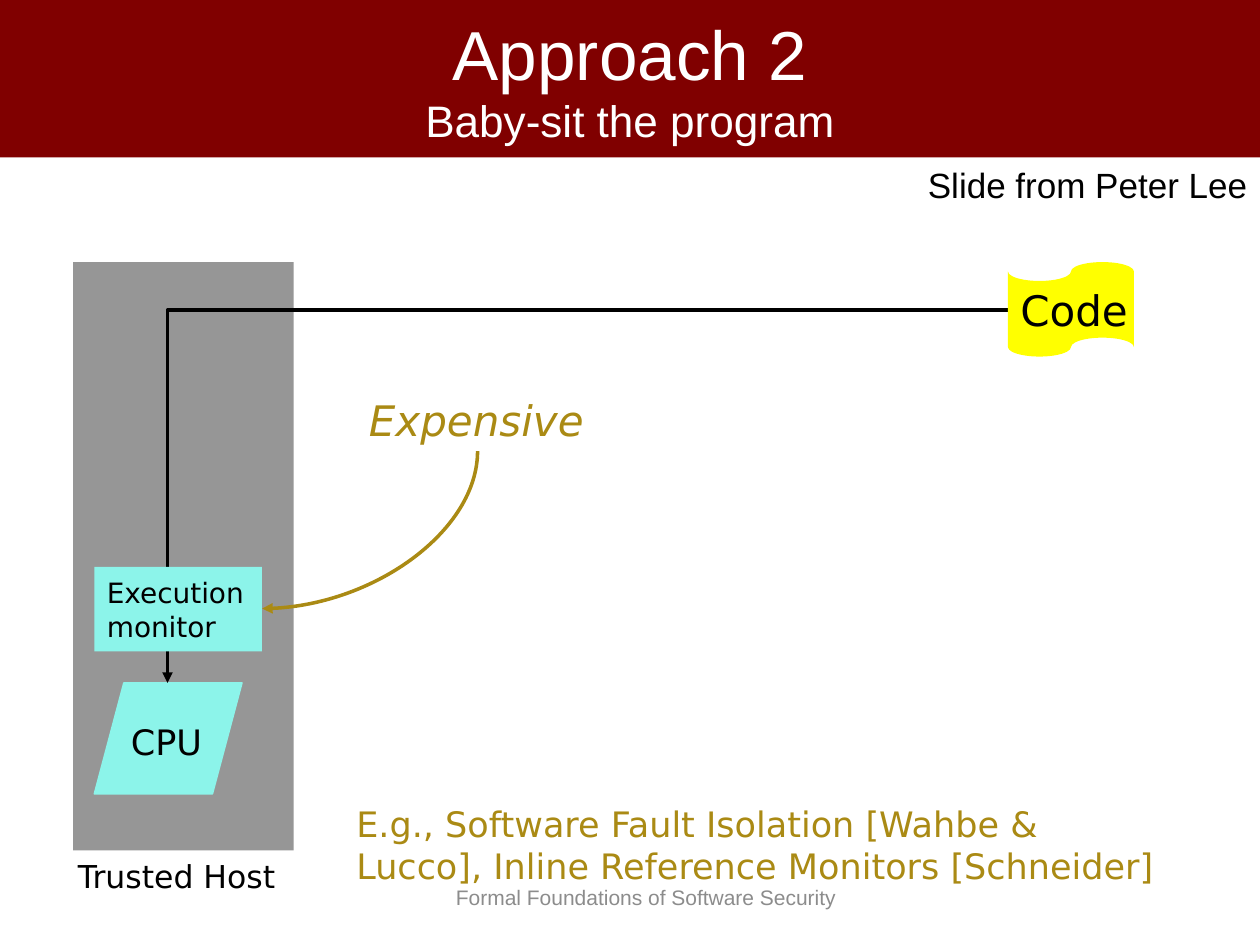
from lxml import etree
from pptx import Presentation, util as u
from pptx.dml.color import RGBColor
from pptx.enum import shapes as s, text as t
from pptx.oxml.ns import qn

COLORS = {"maroon": "800000", "white": "FFFFFF", "black": "000000", "host": "969696",
          "aqua": "8CF4EA", "yellow": "FFFF00", "gold": "AA8A14", "footer": "8C8C8C"}
SANS, ARIAL = "DejaVu Sans", "Arial"
LEFT, RIGHT, CENTER = t.PP_ALIGN.LEFT, t.PP_ALIGN.RIGHT, t.PP_ALIGN.CENTER
TOP, MIDDLE = t.MSO_ANCHOR.TOP, t.MSO_ANCHOR.MIDDLE

# Content: title lines with their sizes
TITLE = [("Approach 2", 39.6), ("Baby-sit the program", 25.2)]
TITLE_BOX = (0, 0, 10, 1.25)

# Diagram blocks: preset, box, fill, outlined
HOST = (s.MSO_SHAPE.RECTANGLE, (0.58, 2.08, 1.75, 4.67), "host", False)
CPU = (s.MSO_SHAPE.FLOWCHART_DATA, (0.75, 5.42, 1.17, 0.88), "aqua", True)
CODE = (s.MSO_SHAPE.FLOWCHART_PUNCHED_TAPE, (8, 2.08, 1, 0.75), "yellow", False)
MONITOR = (s.MSO_SHAPE.RECTANGLE, (0.75, 4.5, 1.33, 0.67), "aqua", False)

# Labels inside blocks: text, size, wrap
CODE_LABEL = ("Code", 24, False)
MONITOR_LABEL = ("Execution monitor", 16, True)

# Free text: text, box, font format, alignment, anchor, wrap
TEXTS = [
    ("Formal Foundations of Software Security", (3.52, 6.92, 3.38, 0.4),
     {"size": 12, "name": ARIAL, "color": "footer"}, LEFT, MIDDLE, True),
    ("CPU", (0.94, 5.67, 0.88, 0.44), {"size": 20}, LEFT, TOP, True),
    ("Trusted Host", (0.52, 6.75, 1.81, 0.4), {"size": 18}, LEFT, TOP, False),
    ("Expensive", (2.83, 3.08, 1.92, 0.5),
     {"size": 24, "color": "gold", "italic": True}, LEFT, TOP, True),
    ("E.g., Software Fault Isolation [Wahbe & Lucco], Inline Reference Monitors [Schneider]",
     (2.73, 6.32, 6.68, 0.77), {"size": 20, "color": "gold"}, LEFT, TOP, True),
    ("Slide from Peter Lee", (7.19, 1.25, 2.81, 0.44),
     {"size": 20, "name": ARIAL}, RIGHT, TOP, True),
]

# Arrows: both make one quarter turn from start to end
CODE_PATH = ((8, 2.46), (1.33, 5.42))
COST_PATH = ((3.79, 3.58), (2.08, 4.83))


def rgb(name):
    return RGBColor.from_string(COLORS[name])


def inches(values):
    return [u.Inches(v) for v in values]


def format_font(font, size, name=SANS, color="black", **values):
    for key, value in {"size": u.Pt(size), "name": name, **values}.items():
        setattr(font, key, value)
    font.color.rgb = rgb(color)


def format_frame(frame, anchor, wrap):
    for key, value in {"vertical_anchor": anchor, "word_wrap": wrap,
                       "auto_size": t.MSO_AUTO_SIZE.NONE}.items():
        setattr(frame, key, value)


def write(frame, words, font, align=LEFT, anchor=MIDDLE, wrap=True):
    format_frame(frame, anchor, wrap)
    paragraph = frame.paragraphs[0]
    paragraph.alignment = align
    run = paragraph.add_run()
    run.text = words
    format_font(run.font, **font)


def add_block(slide, preset, box, fill, outlined):
    block = slide.shapes.add_shape(preset, *inches(box))
    block.shadow.inherit = False
    block.fill.solid()
    block.fill.fore_color.rgb = rgb(fill)
    if outlined:
        block.line.color.rgb = rgb(fill)
        block.line.width = u.Pt(1)
    else:
        block.line.fill.background()
    return block


def add_arrow(slide, kind, preset, start, end, color, rotation=0):
    arrow = slide.shapes.add_connector(kind, *inches(start + end))
    arrow.line.color.rgb = rgb(color)
    arrow.line.width = u.Pt(2)
    properties = arrow.element.spPr
    properties.find(qn("a:prstGeom")).set("prst", preset)
    properties.get_or_add_xfrm().rot = rotation
    etree.SubElement(properties.find(qn("a:ln")), qn("a:tailEnd"), type="triangle")
    etree.SubElement(properties, qn("a:effectLst"))


def main():
    deck = Presentation()
    deck.slide_width, deck.slide_height = inches((10, 7.5))
    slide = deck.slides.add_slide(deck.slide_layouts[5])

    # Title band
    title = slide.shapes.title
    title.left, title.top, title.width, title.height = inches(TITLE_BOX)
    title.fill.solid()
    title.fill.fore_color.rgb = rgb("maroon")
    format_frame(title.text_frame, MIDDLE, True)
    heading = title.text_frame.paragraphs[0]
    heading.alignment = CENTER
    for number, (words, size) in enumerate(TITLE):
        if number:
            heading.add_line_break()
        run = heading.add_run()
        run.text = words
        format_font(run.font, size, ARIAL, "white")

    # Host and CPU, then the code path that runs behind the monitor
    add_block(slide, *HOST)
    add_block(slide, *CPU)
    add_arrow(slide, s.MSO_CONNECTOR.ELBOW, "bentConnector2", *CODE_PATH, "black")
    for block, (words, size, wrap) in ((CODE, CODE_LABEL), (MONITOR, MONITOR_LABEL)):
        write(add_block(slide, *block).text_frame, words, {"size": size}, wrap=wrap)

    # Cost arrow: leaves downwards, so its frame is turned by 90 degrees
    (x1, y1), (x2, y2) = COST_PATH
    mid_x, mid_y = (x1 + x2) / 2, (y1 + y2) / 2
    half_w, half_h = abs(y2 - y1) / 2, abs(x2 - x1) / 2
    add_arrow(slide, s.MSO_CONNECTOR.CURVE, "curvedConnector2",
              (mid_x - half_w, mid_y - half_h), (mid_x + half_w, mid_y + half_h),
              "gold", 90)

    # Labels, notes and footer
    for words, box, font, align, anchor, wrap in TEXTS:
        label = slide.shapes.add_textbox(*inches(box))
        write(label.text_frame, words, font, align, anchor, wrap)

    deck.save("out.pptx")


if __name__ == "__main__":
    main()
